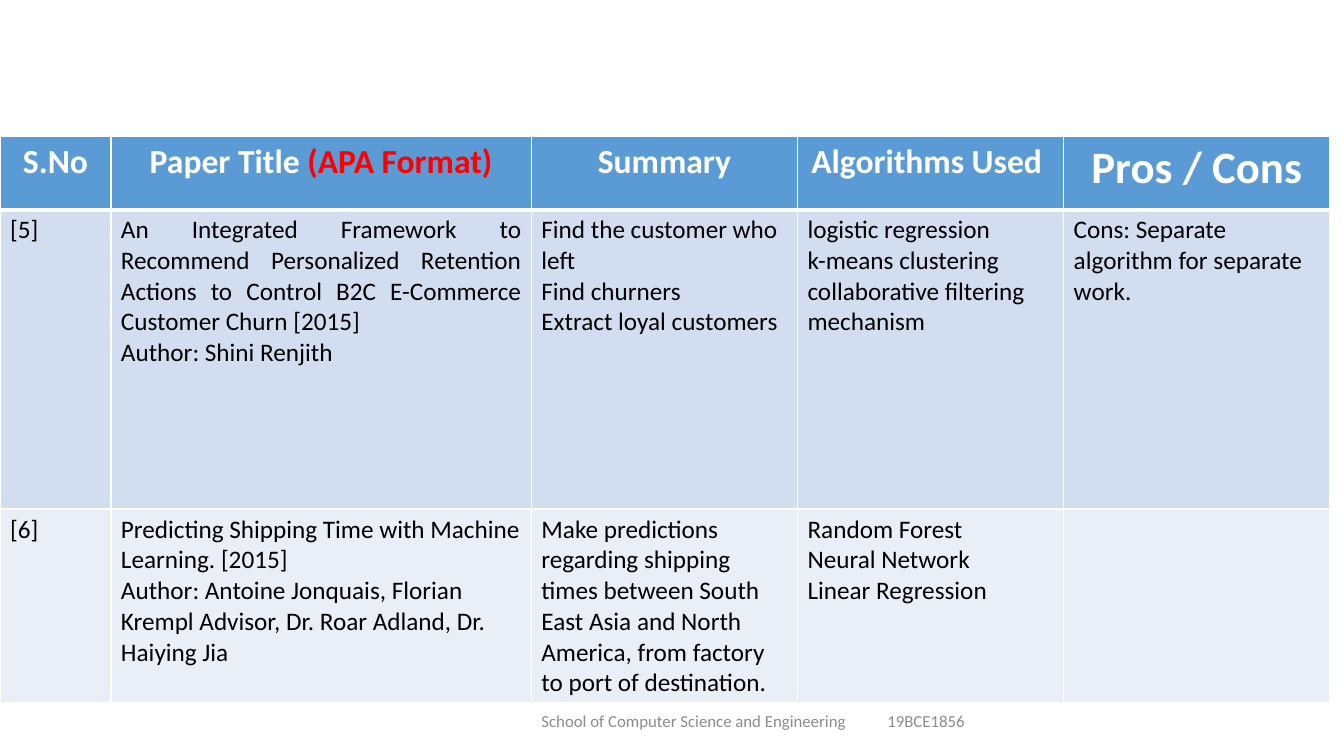
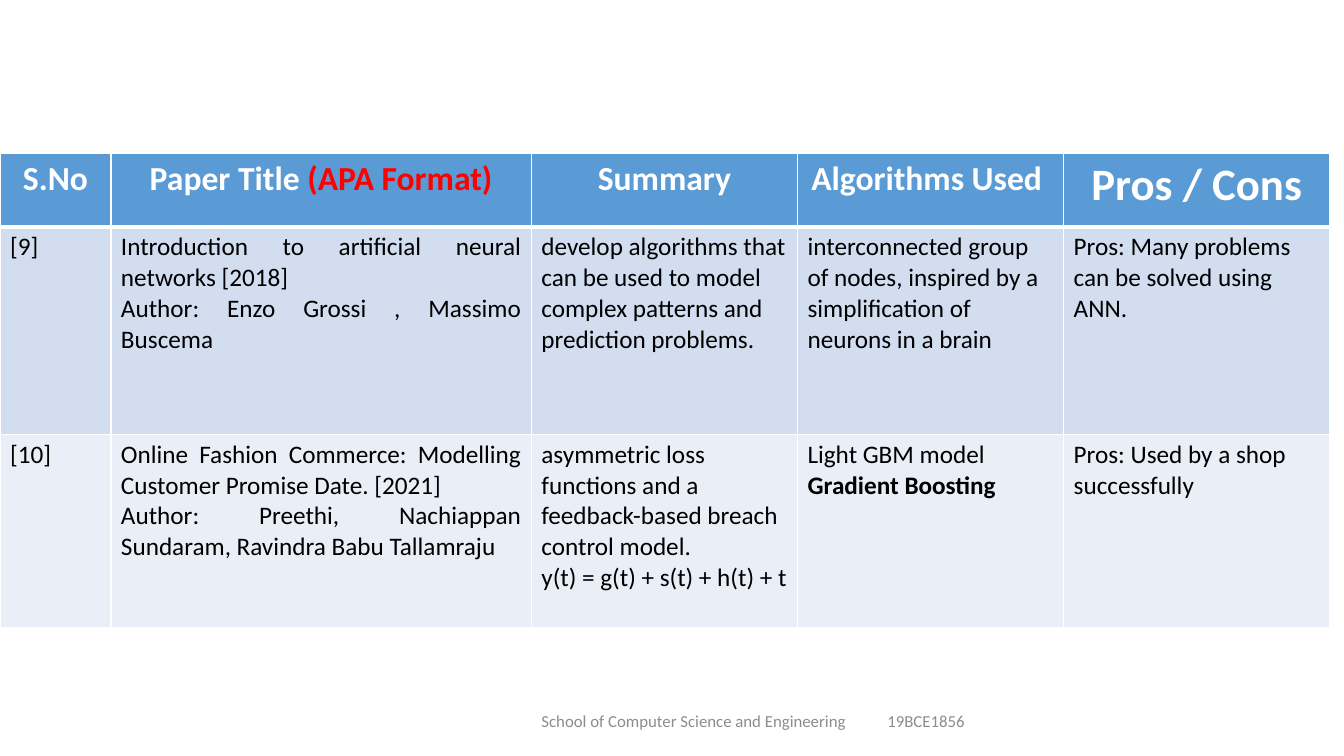
from dataclasses import dataclass

from lxml.etree import SubElement
from pptx import Presentation
from pptx.dml.color import RGBColor
from pptx.enum.text import MSO_ANCHOR, PP_ALIGN
from pptx.oxml.ns import qn
from pptx.util import Inches, Pt

COLORS = {
    "white": "FFFFFF",
    "header": "5B9BD5",
    "odd_row": "D2DEEF",
    "even_row": "EAEFF7",
    "text": "000000",
    "accent": "FF0000",
    "footer": "8C8C8C",
}
FONT = "Calibri"
COLUMN_WIDTHS = [1.1, 4.17] + [2.64] * 3
HEADER_HEIGHT = 0.73
LAST_ROW_HEIGHT = 1.92
TITLE_COLUMN = 1
THIN, THICK = 1, 3


@dataclass
class Run:
    text: str
    size: int = 18
    color: str = "text"
    bold: bool = False


@dataclass
class Paper:
    """One table row; every cell but the number is a list of paragraphs."""
    number: str
    title: list
    summary: list
    algorithms: list
    verdict: list
    title_alignment: PP_ALIGN = PP_ALIGN.JUSTIFY

    def cells(self):
        return [[self.number], self.title, self.summary, self.algorithms, self.verdict]


def heading(text, size=24, color="white"):
    return Run(text, size, color, bold=True)


HEADINGS = [
    [heading("S.No")],
    [heading("Paper Title "), heading("(APA Format)", color="accent")],
    [heading("Summary")],
    [heading("Algorithms Used ")],
    [heading("Pros / Cons", size=32)],
]


def add_runs(paragraph, runs, alignment):
    paragraph.alignment = alignment
    for item in runs:
        run = paragraph.add_run()
        run.text = item.text
        run.font.name = FONT
        run.font.size = Pt(item.size)
        run.font.bold = item.bold
        run.font.color.rgb = RGBColor.from_string(COLORS[item.color])


def set_borders(cell, top, bottom):
    properties = cell._tc.get_or_add_tcPr()
    for side, width in (("L", THIN), ("R", THIN), ("T", top), ("B", bottom)):
        line = SubElement(properties, qn(f"a:ln{side}"), w=str(Pt(width)))
        fill = SubElement(line, qn("a:solidFill"))
        SubElement(fill, qn("a:srgbClr"), val=COLORS["white"])


def fill_cell(cell, paragraphs, color, alignment, top=THIN, bottom=THIN):
    """Write a cell whose paragraphs are lists of runs."""
    set_borders(cell, top, bottom)
    cell.fill.solid()
    cell.fill.fore_color.rgb = RGBColor.from_string(COLORS[color])
    frame = cell.text_frame
    for index, runs in enumerate(paragraphs):
        paragraph = frame.add_paragraph() if index else frame.paragraphs[0]
        add_runs(paragraph, runs, alignment)


def as_runs(line):
    return [line if isinstance(line, Run) else Run(line)]


def add_paper_table(slide, top, first_row_height, papers):
    heights = [HEADER_HEIGHT, first_row_height, LAST_ROW_HEIGHT]
    table = slide.shapes.add_table(
        len(heights), len(COLUMN_WIDTHS), 0, Inches(top),
        Inches(sum(COLUMN_WIDTHS)), Inches(sum(heights))).table
    for column, width in zip(table.columns, COLUMN_WIDTHS):
        column.width = Inches(width)
    for row, height in zip(table.rows, heights):
        row.height = Inches(height)

    for column, runs in enumerate(HEADINGS):
        fill_cell(table.cell(0, column), [runs], "header", PP_ALIGN.CENTER, bottom=THICK)
    for row, paper in enumerate(papers, start=1):
        color = "odd_row" if row % 2 else "even_row"
        for column, lines in enumerate(paper.cells()):
            alignment = paper.title_alignment if column == TITLE_COLUMN else PP_ALIGN.LEFT
            fill_cell(table.cell(row, column), [as_runs(line) for line in lines],
                      color, alignment, top=THICK if row == 1 else THIN)


def add_footer(slide):
    """Add the school and the student number, set apart by a tab stop."""
    box = slide.shapes.add_textbox(Inches(4.42), Inches(6.95), Inches(6.12), Inches(0.4))
    frame = box.text_frame
    frame.word_wrap = True
    frame.vertical_anchor = MSO_ANCHOR.MIDDLE
    frame.margin_left = Inches(0.95)
    paragraph = frame.paragraphs[0]
    add_runs(paragraph, [Run("School of Computer Science and Engineering\t19BCE1856",
                             12, "footer")], PP_ALIGN.LEFT)
    tabs = SubElement(paragraph._p.get_or_add_pPr(), qn("a:tabLst"))
    SubElement(tabs, qn("a:tab"), pos=str(Inches(3.43)), algn="l")


def add_review_slide(presentation, top, first_row_height, papers):
    slide = presentation.slides.add_slide(presentation.slide_layouts[6])
    add_footer(slide)
    add_paper_table(slide, top, first_row_height, papers)


def main():
    presentation = Presentation()
    presentation.slide_width = Inches(13.33)
    presentation.slide_height = Inches(7.5)

    add_review_slide(presentation, 1.35, 2.97, [
        Paper("[5]",
              ["An Integrated Framework to Recommend Personalized Retention Actions "
               "to Control B2C E-Commerce Customer Churn [2015]",
               "Author: Shini Renjith "],
              ["Find the customer who left", "Find churners", "Extract loyal customers"],
              ["logistic regression", "k-means clustering",
               "collaborative filtering mechanism"],
              ["Cons: Separate algorithm for separate work."]),
        Paper("[6]",
              ["Predicting Shipping Time with Machine Learning. [2015]",
               "Author: Antoine Jonquais, Florian Krempl Advisor, Dr. Roar Adland, "
               "Dr. Haiying Jia"],
              ["Make predictions regarding shipping times between South East Asia and "
               "North America, from factory to port of destination."],
              ["Random Forest", "Neural Network", "Linear Regression"],
              [],
              title_alignment=PP_ALIGN.LEFT),
    ])
    add_review_slide(presentation, 1.52, 2.06, [
        Paper("[9]",
              ["Introduction to artificial neural networks [2018]",
               "Author: Enzo Grossi , Massimo Buscema"],
              ["develop algorithms that can be used to model complex patterns and "
               "prediction problems."],
              ["interconnected group of nodes, inspired by a simplification of "
               "neurons in a brain"],
              ["Pros: Many problems can be solved using ANN."]),
        Paper("[10]",
              ["Online Fashion Commerce: Modelling Customer Promise Date. [2021]",
               "Author: Preethi, Nachiappan Sundaram, Ravindra Babu Tallamraju"],
              ["asymmetric loss functions and a feedback-based breach control model.",
               "y(t) = g(t) + s(t) + h(t) + t"],
              ["Light GBM model", Run("Gradient Boosting", bold=True)],
              ["Pros: Used by a shop successfully"]),
    ])
    presentation.save("out.pptx")


if __name__ == "__main__":
    main()
